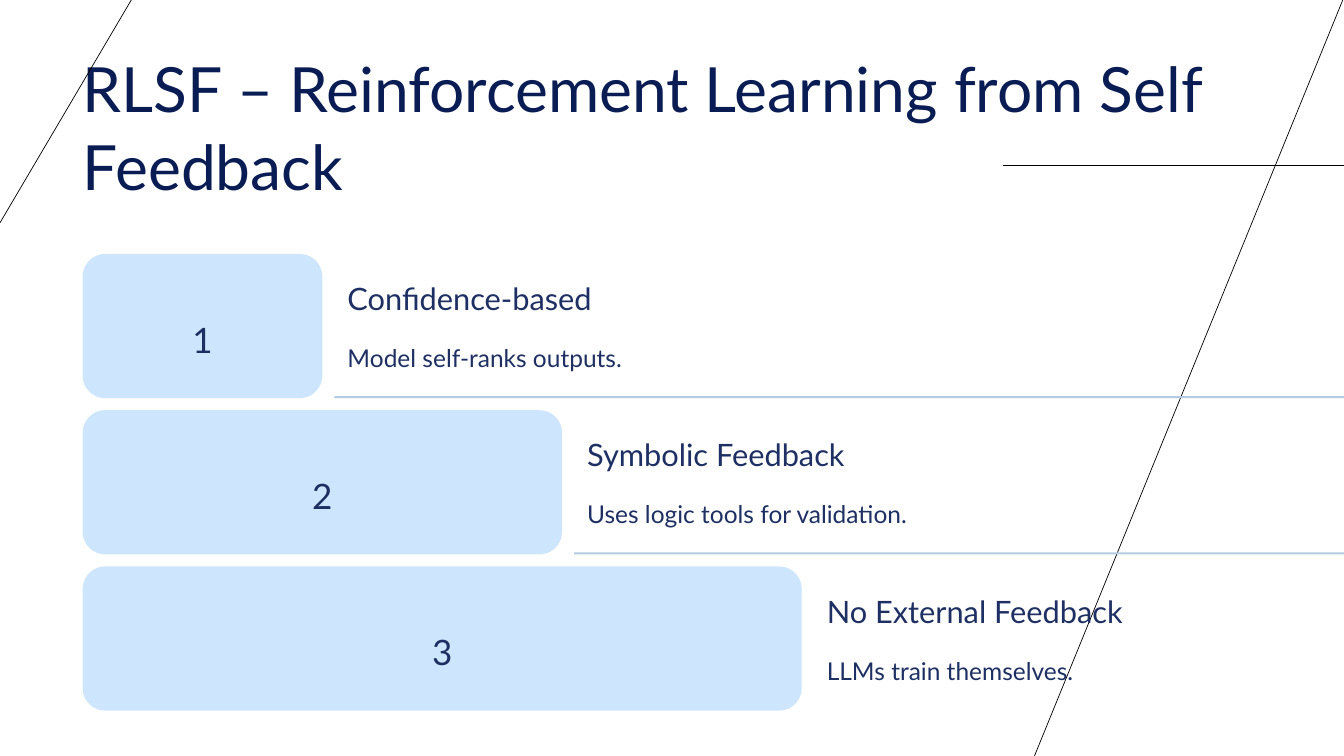
import pptx
import pptx.dml.color
import pptx.enum.shapes
import pptx.enum.text
import pptx.oxml
import pptx.oxml.ns
import pptx.util

Inches, Pt = pptx.util.Inches, pptx.util.Pt
ALIGN = pptx.enum.text.PP_ALIGN
SHAPES = pptx.enum.shapes.MSO_SHAPE

TITLE = "RLSF – Reinforcement Learning from Self Feedback"
STEPS = [
    ("Confidence-based", "Model self-ranks outputs."),
    ("Symbolic Feedback", "Uses logic tools for validation."),
    ("No External Feedback", "LLMs train themselves."),
]
COLORS = {"title": "091C53", "text": "1E3063", "bar": "CEE6FD",
          "rule": "B4CCE3", "line": "000000"}
FORMATS = {
    "title": {"size": 44.5, "spacing": 55.5, "color": "title", "align": ALIGN.LEFT},
    "number": {"size": 25, "spacing": 40, "color": "text", "align": ALIGN.CENTER},
    "heading": {"size": 22, "spacing": 27.5, "color": "text", "align": ALIGN.LEFT},
    "detail": {"size": 17.5, "spacing": 28.5, "color": "text", "align": ALIGN.LEFT},
}
SLIDE_WIDTH, SLIDE_HEIGHT = 13.33, 7.5
BACKGROUND_LINES = [
    (9.95, 1.64, SLIDE_WIDTH, 1.64),
    (SLIDE_WIDTH, -0.03, 10.26, SLIDE_HEIGHT),
    (0, 2.21, 1.32, -0.03),
]
LEFT, FIRST_TOP, ROW_PITCH = 0.82, 2.52, 1.55
BAR_STEP, BAR_HEIGHT = 2.377, 1.43


def color(name):
    return pptx.dml.color.RGBColor.from_string(COLORS[name])


def fill_text(shape, text, format_name):
    style = FORMATS[format_name]
    frame = shape.text_frame
    frame_format = {
        "margin_left": 0, "margin_top": 0, "margin_right": 0, "margin_bottom": 0,
        "word_wrap": True, "auto_size": pptx.enum.text.MSO_AUTO_SIZE.NONE,
        "vertical_anchor": pptx.enum.text.MSO_ANCHOR.TOP,
    }
    for name, value in frame_format.items():
        setattr(frame, name, value)
    frame.text = text
    paragraph = frame.paragraphs[0]
    paragraph.alignment = style["align"]
    paragraph.line_spacing = Pt(style["spacing"])
    font = paragraph.runs[0].font
    for name, value in {"name": "Lato", "size": Pt(style["size"])}.items():
        setattr(font, name, value)
    font.color.rgb = color(style["color"])


def add_text(slide, text, format_name, left, top, width, height):
    box = slide.shapes.add_textbox(*map(Inches, (left, top, width, height)))
    fill_text(box, text, format_name)


def add_block(slide, preset, color_name, left, top, width, height):
    shape = slide.shapes.add_shape(preset, *map(Inches, (left, top, width, height)))
    shape.shadow.inherit = False
    shape.fill.solid()
    shape.fill.fore_color.rgb = color(color_name)
    shape.line.fill.background()
    return shape


def add_line(slide, ends):
    line = slide.shapes.add_connector(
        pptx.enum.shapes.MSO_CONNECTOR.STRAIGHT, *map(Inches, ends))
    line.line.color.rgb = color("line")
    line.line.width = Pt(0.5)
    line._element.spPr.append(
        pptx.oxml.parse_xml(f"<a:effectLst {pptx.oxml.ns.nsdecls('a')}/>"))


def add_step(slide, index, heading, detail):
    top = FIRST_TOP + index * ROW_PITCH
    width = (index + 1) * BAR_STEP
    right = LEFT + width
    bar = add_block(slide, SHAPES.ROUNDED_RECTANGLE, "bar", LEFT, top, width, BAR_HEIGHT)
    bar.adjustments[0] = 0.156
    add_text(slide, str(index + 1), "number",
             LEFT + width / 2 - 0.175, top + 0.5, 0.35, 0.44)
    add_text(slide, heading, "heading", right + 0.25, top + 0.24, 3.3, 0.39)
    add_text(slide, detail, "detail", right + 0.25, top + 0.78, 3.4, 0.4)
    if index < len(STEPS) - 1:
        rule_left = right + 0.12
        add_block(slide, SHAPES.RECTANGLE, "rule",
                  rule_left, top + 1.41, SLIDE_WIDTH - rule_left, 0.02)


def main():
    presentation = pptx.Presentation()
    presentation.slide_width = Inches(SLIDE_WIDTH)
    presentation.slide_height = Inches(SLIDE_HEIGHT)
    slide = presentation.slides.add_slide(presentation.slide_layouts[5])

    for ends in BACKGROUND_LINES:
        add_line(slide, ends)

    title = slide.shapes.title
    place = {"left": LEFT, "top": 0.47, "width": 12.26, "height": 1.55}
    for name, value in place.items():
        setattr(title, name, Inches(value))
    fill_text(title, TITLE, "title")

    for index, (heading, detail) in enumerate(STEPS):
        add_step(slide, index, heading, detail)

    presentation.save("out.pptx")


if __name__ == "__main__":
    main()
